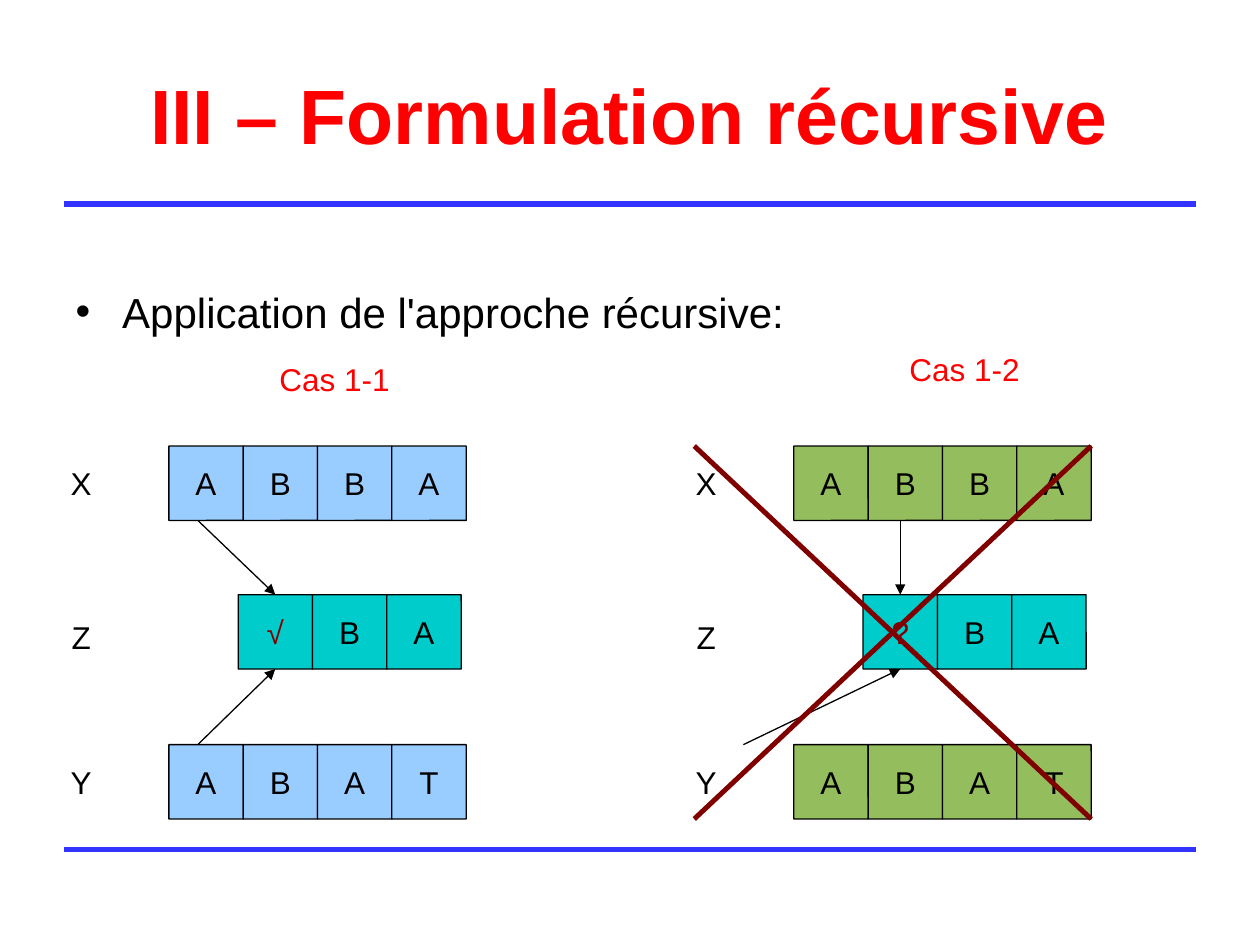
from dataclasses import dataclass

from lxml import etree
from pptx import Presentation
from pptx.dml.color import RGBColor
from pptx.enum.shapes import MSO_CONNECTOR, MSO_SHAPE
from pptx.enum.text import MSO_ANCHOR, MSO_AUTO_SIZE, PP_ALIGN
from pptx.oxml.ns import qn
from pptx.util import Inches, Pt

STRAIGHT = MSO_CONNECTOR.STRAIGHT
ROUNDED = MSO_SHAPE.ROUNDED_RECTANGLE
MIDDLE, TOP = MSO_ANCHOR.MIDDLE, MSO_ANCHOR.TOP
CENTER, LEFT = PP_ALIGN.CENTER, PP_ALIGN.LEFT
NO_FIT = MSO_AUTO_SIZE.NONE

FONT = "Arial"
BLACK, WHITE, RED, MAROON = "000000", "FFFFFF", "FF0000", "800000"
RULE_BLUE, TEAL = "3333FF", "00CCCC"
CELL = 0.59
X_TOP, Z_TOP, Y_TOP = 3.54, 4.72, 5.91
LABEL_TOPS = {"X": X_TOP, "Y": Y_TOP, "Z": 4.76}
LABEL_LEFT, WORD_LEFT, RESULT_LEFT = 0.35, 1.34, 1.89
TOP_SITE, BOTTOM_SITE = 0, 2


@dataclass
class Case:
    offset: float
    caption: str
    caption_left: float
    caption_top: float
    fill: str
    mark: str
    upper_start: float
    lower_start: float
    rejected: bool


CASES = [
    Case(0, "Cas 1-1", 2.12, 2.81, "99CCFF", "√", 1.57, 1.57, False),
    Case(4.96, "Cas 1-2", 7.12, 2.73, "94BD5E", "?",
         RESULT_LEFT + 4.96 + CELL / 2, 5.9, True),
]


def rgb(color: str) -> RGBColor:
    return RGBColor.from_string(color)


def write(frame, text: str, size: float, color: str, align=LEFT, bold=False):
    para = frame.paragraphs[0]
    para.alignment = align
    span = para.add_run()
    span.text = text
    span.font.name = FONT
    span.font.size = Pt(size)
    span.font.bold = bold
    span.font.color.rgb = rgb(color)
    return para


def place(box, left: float, top: float, width: float, height: float) -> None:
    box.left, box.top = Inches(left), Inches(top)
    box.width, box.height = Inches(width), Inches(height)


def add_cell(page, left: float, top: float, text: str, fill: str,
             color: str = BLACK, outlined: bool = True):
    box = page.shapes.add_shape(
        ROUNDED, Inches(left), Inches(top), Inches(CELL), Inches(CELL))
    box.adjustments[0] = 0.003
    box.shadow.inherit = False
    box.fill.solid()
    box.fill.fore_color.rgb = rgb(fill)
    if outlined:
        box.line.color.rgb = rgb(BLACK)
        box.line.width = Pt(0.75)
    else:
        box.line.fill.background()
    box.text_frame.vertical_anchor = MIDDLE
    write(box.text_frame, text, 18, color, CENTER)
    return box


def add_word(page, left: float, top: float, letters: str, fill: str) -> None:
    for index, letter in enumerate(letters):
        add_cell(page, left + index * CELL, top, letter, fill)


def add_line(page, start: tuple[float, float], end: tuple[float, float],
             color: str, width: float, arrow: bool = False):
    line = page.shapes.add_connector(
        STRAIGHT, *(Inches(value) for value in start + end))
    line.line.color.rgb = rgb(color)
    line.line.width = Pt(width)
    if arrow:
        etree.SubElement(line.line._get_or_add_ln(), qn("a:tailEnd"), type="triangle")
    etree.SubElement(line._element.spPr, qn("a:effectLst"))
    return line


def add_case(page, case: Case) -> None:
    add_word(page, WORD_LEFT + case.offset, X_TOP, "ABBA", case.fill)
    add_word(page, WORD_LEFT + case.offset, Y_TOP, "ABAT", case.fill)
    for label, top in LABEL_TOPS.items():
        add_cell(page, LABEL_LEFT + case.offset, top, label, WHITE, outlined=False)

    result_left = RESULT_LEFT + case.offset
    mark = add_cell(page, result_left, Z_TOP, case.mark, TEAL, MAROON)
    add_word(page, result_left + CELL, Z_TOP, "BA", TEAL)

    middle = result_left + CELL / 2
    upper = add_line(page, (case.upper_start, X_TOP + CELL), (middle, Z_TOP),
                     BLACK, 0.75, arrow=True)
    upper.end_connect(mark, TOP_SITE)
    lower = add_line(page, (case.lower_start, Y_TOP), (middle, Z_TOP + CELL),
                     BLACK, 0.75, arrow=True)
    lower.end_connect(mark, BOTTOM_SITE)

    if case.rejected:
        left, right, bottom = 5.51, 8.66, Y_TOP + CELL
        add_line(page, (left, X_TOP), (right, bottom), MAROON, 2.83)
        add_line(page, (right, X_TOP), (left, bottom), MAROON, 2.83)

    caption = page.shapes.add_textbox(
        Inches(case.caption_left), Inches(case.caption_top), Inches(1.2), Inches(0.4))
    caption.text_frame.word_wrap = True
    write(caption.text_frame, case.caption, 18, RED)


def fill_title(title) -> None:
    place(title, 0.5, 0.3, 9, 1.25)
    frame = title.text_frame
    frame.auto_size = NO_FIT
    frame.vertical_anchor = MIDDLE
    frame.margin_top = Inches(0.09)
    para = write(frame, "III – Formulation récursive", 44, RED, CENTER, bold=True)
    para.line_spacing = 0.93


def fill_body(body) -> None:
    place(body, 0.5, 1.75, 9, 4.95)
    frame = body.text_frame
    frame.auto_size = NO_FIT
    frame.vertical_anchor = TOP
    frame.margin_top = Inches(0.52)
    para = write(frame, "Application de l'approche récursive:", 24, BLACK)
    para.space_before = Pt(0)
    properties = para._p.get_or_add_pPr()
    properties.set("marL", str(Inches(0.37)))
    properties.set("indent", str(-Inches(0.37)))
    etree.SubElement(properties, qn("a:buChar"), char="•")


def main() -> None:
    deck = Presentation()
    deck.slide_width, deck.slide_height = Inches(10), Inches(7.5)
    page = deck.slides.add_slide(deck.slide_layouts[1])
    for top in (6.74, 1.62):
        add_line(page, (0.51, top), (9.49, top), RULE_BLUE, 3)
    fill_title(page.shapes.title)
    fill_body(page.placeholders[1])
    for case in CASES:
        add_case(page, case)
    deck.save("out.pptx")


if __name__ == "__main__":
    main()
